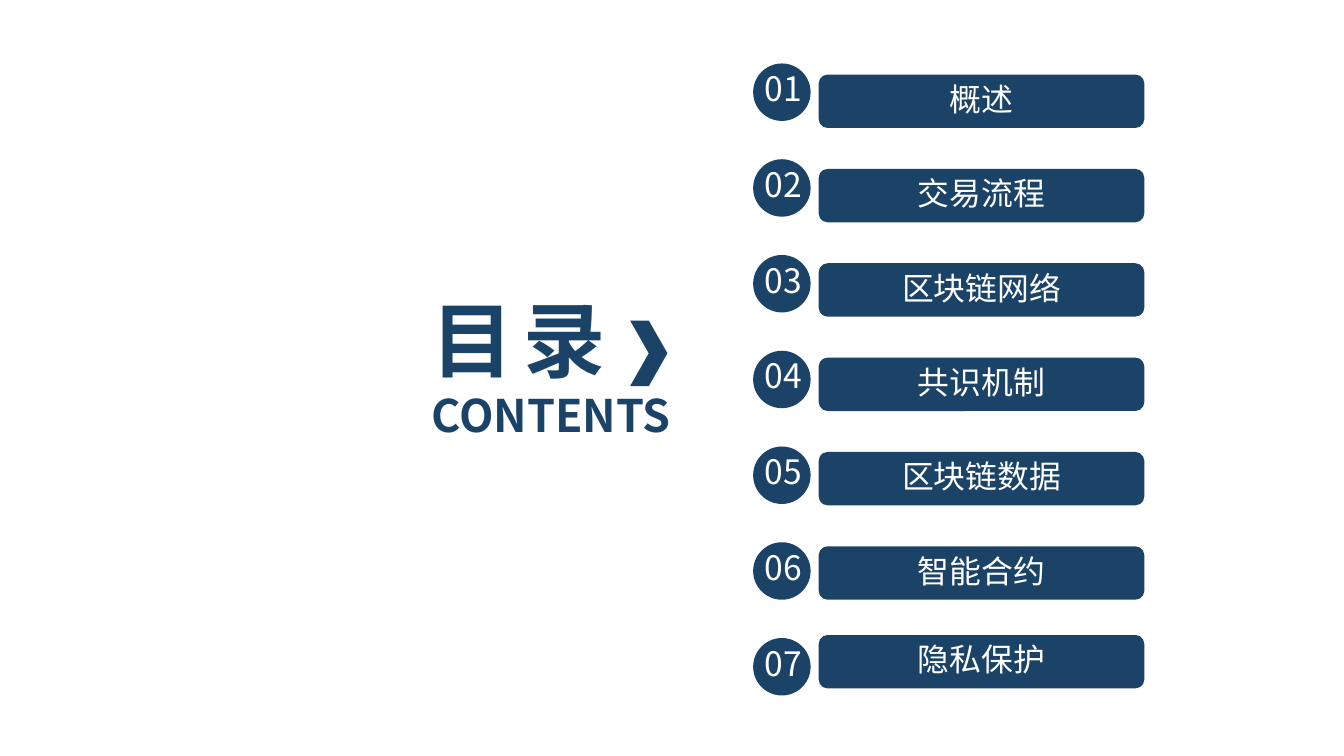
from dataclasses import dataclass

from lxml.etree import SubElement
from pptx import Presentation
from pptx.dml.color import RGBColor
from pptx.enum.shapes import MSO_SHAPE
from pptx.enum.text import MSO_ANCHOR, PP_ALIGN
from pptx.oxml.ns import qn
from pptx.util import Inches, Pt

# Content
CHAPTERS = ["概述", "交易流程", "区块链网络", "共识机制", "区块链数据", "智能合约", "隐私保护"]
TITLE = "目 录"
SUBTITLE = "CONTENTS"


@dataclass(frozen=True)
class Theme:
    navy: RGBColor = RGBColor(0x1B, 0x43, 0x67)
    white: RGBColor = RGBColor(0xFF, 0xFF, 0xFF)
    font: str = "Noto Sans CJK SC"
    title_size: float = 58.7
    subtitle_size: float = 32
    number_size: float = 24
    chapter_size: float = 22.7
    line_spacing: float = 0.9


THEME = Theme()

# Layout, in inches
SLIDE_WIDTH, SLIDE_HEIGHT = 13.33, 7.5
TITLE_LEFT = 4.18
BADGE_LEFT, BADGE_TOP, BADGE_SIZE, BADGE_PITCH = 7.47, 0.63, 0.57, 0.95
NUMBER_LEFT, NUMBER_OFFSET, NUMBER_WIDTH, NUMBER_HEIGHT = 7.42, 0.02, 0.7, 0.5
BAR_LEFT, BAR_TOP, BAR_WIDTH, BAR_HEIGHT = 8.12, 0.74, 3.23, 0.53
BAR_PITCH = (5.42 - BAR_TOP) / 5
LAST_BAR_TOP = 6.3


def add_block(shapes, kind, *box):
    shape = shapes.add_shape(kind, *map(Inches, box))
    shape.shadow.inherit = False
    shape.fill.solid()
    shape.fill.fore_color.rgb = THEME.navy
    shape.line.fill.background()
    return shape


def write(shape, text, size, color, bold=False, alignment=PP_ALIGN.CENTER,
          anchor=MSO_ANCHOR.MIDDLE, spacing=None):
    frame = shape.text_frame
    frame.word_wrap = True
    frame.vertical_anchor = anchor
    paragraph = frame.paragraphs[0]
    paragraph.alignment = alignment
    paragraph.line_spacing = THEME.line_spacing
    run = paragraph.add_run()
    run.text = text
    font = run.font
    font.name, font.size, font.bold = THEME.font, Pt(size), bold
    font.color.rgb = color
    # East Asian typeface and letter spacing
    properties = run._r.get_or_add_rPr()
    SubElement(properties, qn("a:ea"), typeface=THEME.font)
    if spacing is not None:
        properties.set("spc", str(spacing * 100))


def add_label(shapes, box, *args, **options):
    write(shapes.add_textbox(*map(Inches, box)), *args, **options)


def add_heading(shapes):
    style = dict(bold=True, alignment=PP_ALIGN.LEFT, anchor=MSO_ANCHOR.TOP)
    add_label(shapes, (TITLE_LEFT, 2.93, 3.13, 1.09), TITLE,
              THEME.title_size, THEME.navy, spacing=-3, **style)
    add_label(shapes, (TITLE_LEFT, 3.86, 3.08, 0.64), SUBTITLE,
              THEME.subtitle_size, THEME.navy, **style)
    add_block(shapes, MSO_SHAPE.CHEVRON, 6.25, 3.18, 0.37, 0.65)


def add_chapter(shapes, index, name):
    # Title bar; the last one sits slightly above the regular rhythm
    is_last = index == len(CHAPTERS) - 1
    bar_top = LAST_BAR_TOP if is_last else BAR_TOP + index * BAR_PITCH
    bar = add_block(shapes, MSO_SHAPE.ROUNDED_RECTANGLE,
                    BAR_LEFT, bar_top, BAR_WIDTH, BAR_HEIGHT)
    write(bar, name, THEME.chapter_size, THEME.white)

    # Numbered badge
    badge_top = BADGE_TOP + index * BADGE_PITCH
    badge = add_group = shapes.add_group_shape()
    add_block(badge.shapes, MSO_SHAPE.OVAL,
              BADGE_LEFT, badge_top, BADGE_SIZE, BADGE_SIZE)
    number_box = (NUMBER_LEFT, badge_top + NUMBER_OFFSET, NUMBER_WIDTH, NUMBER_HEIGHT)
    add_label(badge.shapes, number_box, f"{index + 1:02d}",
              THEME.number_size, THEME.white)


def main():
    presentation = Presentation()
    presentation.slide_width = Inches(SLIDE_WIDTH)
    presentation.slide_height = Inches(SLIDE_HEIGHT)
    slide = presentation.slides.add_slide(presentation.slide_layouts[6])
    add_heading(slide.shapes)
    for index, name in enumerate(CHAPTERS):
        add_chapter(slide.shapes, index, name)
    presentation.save("out.pptx")


if __name__ == "__main__":
    main()
